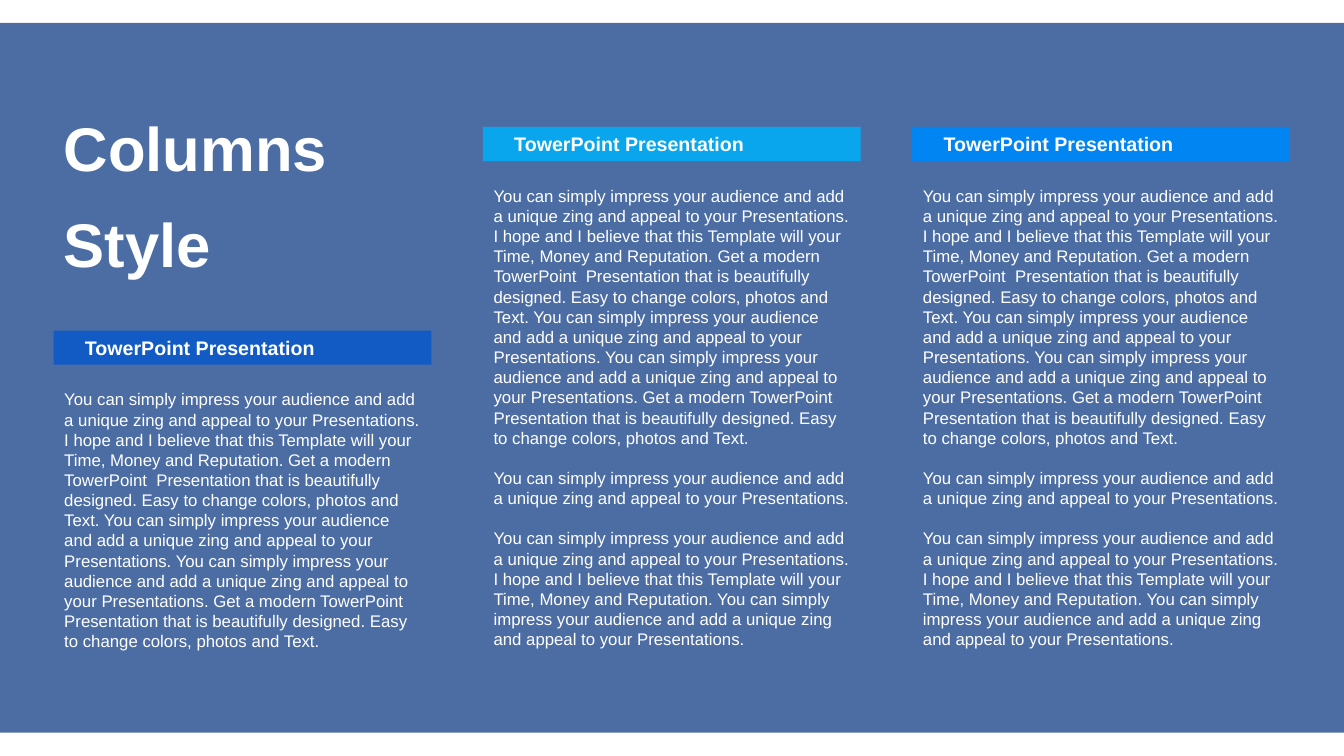
from lxml import etree
from pptx import Presentation
from pptx.dml.color import RGBColor
from pptx.enum.shapes import MSO_SHAPE
from pptx.enum.text import MSO_ANCHOR, MSO_AUTO_SIZE, PP_ALIGN
from pptx.oxml.ns import qn
from pptx.util import Cm, Pt

WHITE = RGBColor(0xFF, 0xFF, 0xFF)
NAVY = RGBColor(0x00, 0x30, 0x7E)
ROYAL = RGBColor(0x12, 0x5A, 0xC4)
CYAN = RGBColor(0x0A, 0xA6, 0xED)
AZURE = RGBColor(0x00, 0x85, 0xF2)

IMPRESS = ("You can simply impress your audience and add a unique zing "
           "and appeal to your Presentations.")
HOPE = ("I hope and I believe that this Template will your Time, Money "
        "and Reputation.")
MODERN = ("Get a modern TowerPoint  Presentation that is beautifully designed. "
          "Easy to change colors, photos and Text.")
LONG = " ".join([IMPRESS, HOPE, MODERN, IMPRESS, IMPRESS, MODERN])
FULL = [LONG, IMPRESS, " ".join([IMPRESS, HOPE, IMPRESS])]
LINE = Pt(14.4)


def add_bar(shapes, x, y, w, h, color):
    sp = shapes.add_shape(MSO_SHAPE.RECTANGLE, x, y, w, h)
    sp.shadow.inherit = False
    sp.fill.solid()
    sp.fill.fore_color.rgb = color
    sp.line.fill.background()
    return sp


def write(tf, texts, size, bold=False):
    tf.word_wrap = True
    for i, text in enumerate(texts):
        p = tf.paragraphs[0] if i == 0 else tf.add_paragraph()
        p.alignment = PP_ALIGN.LEFT
        r = p.add_run()
        r.text = text
        r.font.name = "Arial"
        r.font.size = Pt(size)
        r.font.bold = bold
        r.font.color.rgb = WHITE


prs = Presentation()
prs.slide_width, prs.slide_height = Cm(33.87), Cm(19.05)
s = prs.slides.add_slide(prs.slide_layouts[5])

# Title
title = s.shapes.title
title.left, title.top, title.width, title.height = Cm(1.35), Cm(2.77), Cm(7.72), Cm(4.09)
tf = title.text_frame
tf.auto_size = MSO_AUTO_SIZE.NONE
tf.vertical_anchor = MSO_ANCHOR.MIDDLE
write(tf, ["Columns", "Style"], 44, bold=True)
for p in tf.paragraphs:
    p.line_spacing = 1.1
    p.space_before = Pt(10)

# Translucent panel behind the title
panel = add_bar(s.shapes, 0, Cm(0.58), prs.slide_width, Cm(17.88), NAVY)
clr = panel.element.spPr.find(qn("a:solidFill"))[0]
etree.SubElement(clr, qn("a:alpha"), val="70000")
title.element.addprevious(panel.element)

# Three columns: header bar, header text, body text
columns = [(8.33, ROYAL, [LONG]), (3.2, CYAN, FULL), (3.2, AZURE, FULL)]
for i, (y, color, texts) in enumerate(columns):
    x = 1.35 + 10.82 * i
    shapes = s.shapes.add_group_shape().shapes
    add_bar(shapes, Cm(x), Cm(y), Cm(9.52), Cm(0.86), color)

    head = shapes.add_textbox(Cm(x + 0.4), Cm(y), Cm(8.05), Cm(0.86)).text_frame
    head.vertical_anchor = MSO_ANCHOR.MIDDLE
    head.margin_left = Cm(0.39)
    write(head, ["TowerPoint Presentation"], 14, bold=True)

    top = y + 1.35
    body = shapes.add_textbox(Cm(x + 0.02), Cm(top), Cm(9.5), Cm(16.61 - top)).text_frame
    write(body, texts, 12)
    for n, p in enumerate(body.paragraphs):
        p.line_spacing = LINE
        p.space_before = LINE if n else Pt(0)

prs.save("out.pptx")
